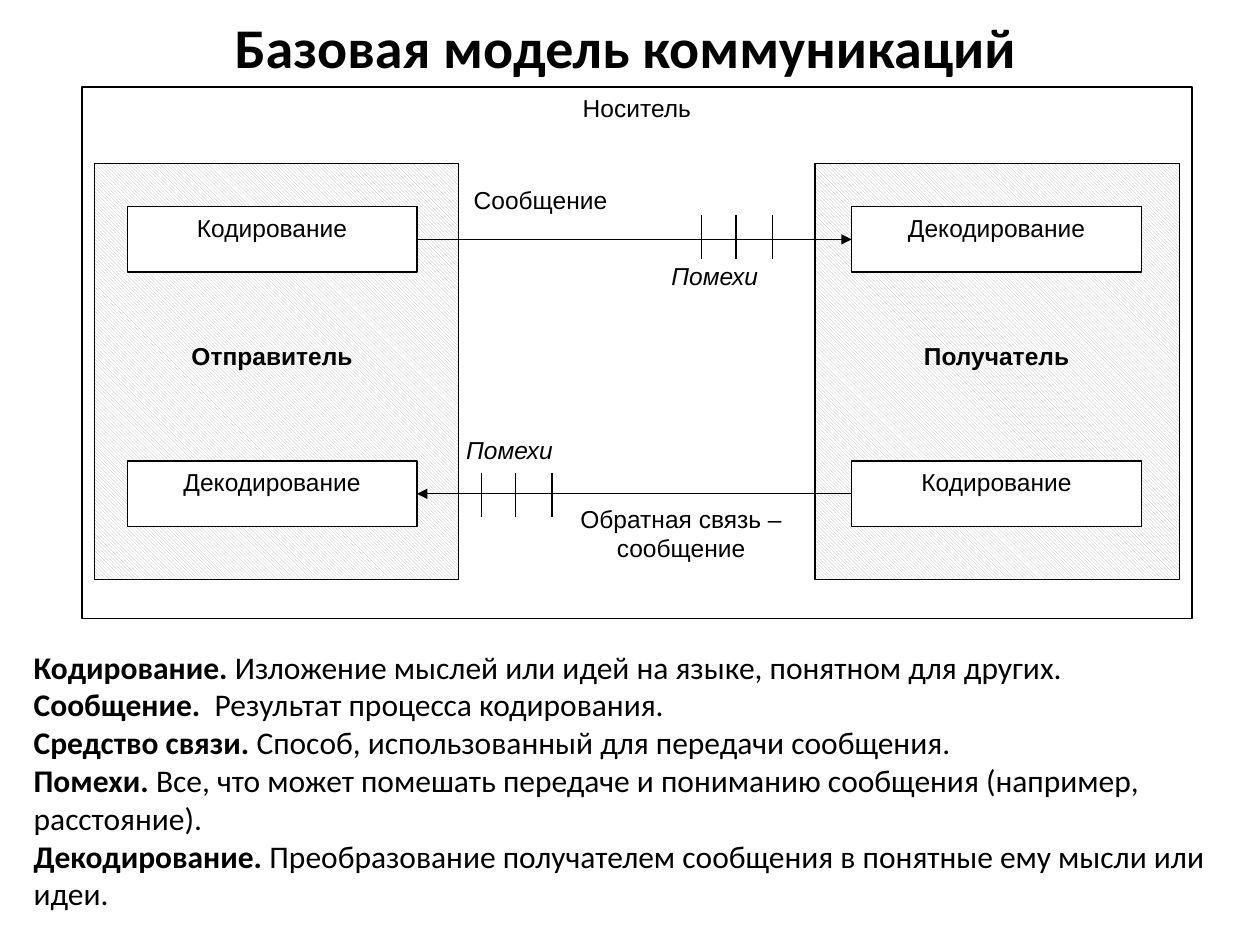
import lxml.etree
import pptx
import pptx.dml.color
import pptx.enum.dml
import pptx.enum.shapes
import pptx.enum.text
import pptx.oxml.ns
import pptx.util

Pt = pptx.util.Pt
qn = pptx.oxml.ns.qn
Align = pptx.enum.text.PP_ALIGN

BLACK = pptx.dml.color.RGBColor(0x00, 0x00, 0x00)
WHITE = pptx.dml.color.RGBColor(0xFF, 0xFF, 0xFF)
HATCH = pptx.dml.color.RGBColor(0xBF, 0xBF, 0xBF)

PANEL_LEFTS = (54, 465.8)
STEP_LEFTS = (72.7, 486.7)
STEP_WIDTH, STEP_HEIGHT = 165.6, 37.4
SEND_TOP, NAME_TOP, REPLY_TOP = 118.1, 191.5, 263.5
NOISE_OFFSETS = (0, 19.5, 40.4)
NOISE_HEIGHT = 25.2

DEFINITIONS = (
    ("Кодирование. ", "Изложение мыслей или идей на языке, понятном для других."),
    ("Сообщение.  ", "Результат процесса кодирования."),
    ("Средство связи. ", "Способ, использованный для передачи сообщения."),
    ("Помехи. ", "Все, что может помешать передаче и пониманию сообщения (например, расстояние)."),
    ("Декодирование. ", "Преобразование получателем сообщения в понятные ему мысли или идеи."),
)


class Diagram:
    """Holds the style and the slide being drawn."""

    text_font, label_font = "Calibri", "Arial"
    label_size, line_width = 14, 0.75

    def __init__(self, slide):
        self.slide = slide

    def add_run(self, paragraph, text, font, size, bold=False, italic=False):
        run = paragraph.add_run()
        run.text = text
        run.font.name, run.font.size = font, Pt(size)
        run.font.bold, run.font.italic = bold, italic
        run.font.color.rgb = BLACK

    def write_label(self, shape, text, align=Align.CENTER, tight=False, **emphasis):
        frame = shape.text_frame
        frame.word_wrap = True
        frame.vertical_anchor = pptx.enum.text.MSO_ANCHOR.TOP
        if tight:
            frame.margin_left = frame.margin_right = Pt(1.4)
            frame.margin_top = frame.margin_bottom = Pt(0.7)
        paragraph = frame.paragraphs[0]
        paragraph.alignment = align
        self.add_run(paragraph, text, self.label_font, self.label_size, **emphasis)

    def box(self, left, top, width, height, filled=True, outlined=True):
        shape = self.slide.shapes.add_shape(
            pptx.enum.shapes.MSO_SHAPE.RECTANGLE, Pt(left), Pt(top), Pt(width), Pt(height))
        shape.shadow.inherit = False
        if filled:
            shape.fill.solid()
            shape.fill.fore_color.rgb = WHITE
        else:
            shape.fill.background()
        if outlined:
            shape.line.color.rgb = BLACK
            shape.line.width = Pt(self.line_width)
        else:
            shape.line.fill.background()
        return shape

    def hatched_panel(self, *place):
        fill = self.box(*place).fill
        fill.patterned()
        fill.pattern = pptx.enum.dml.MSO_PATTERN.LIGHT_DOWNWARD_DIAGONAL
        fill.fore_color.rgb, fill.back_color.rgb = HATCH, WHITE

    def step(self, left, top, text):
        self.write_label(self.box(left, top, STEP_WIDTH, STEP_HEIGHT), text)

    def patch(self, left, top, width, height, text, **emphasis):
        """Label on a white, unlined background."""
        shape = self.box(left, top, width, height, outlined=False)
        self.write_label(shape, text, Align.LEFT, tight=True, **emphasis)

    def text_box(self, left, top, width, height):
        return self.slide.shapes.add_textbox(Pt(left), Pt(top), Pt(width), Pt(height))

    def growing_text(self, left, top, width, height, paragraphs, size, align):
        """Each paragraph is a sequence of (text, bold) runs."""
        frame = self.text_box(left, top, width, height).text_frame
        frame.word_wrap = True
        frame.auto_size = pptx.enum.text.MSO_AUTO_SIZE.SHAPE_TO_FIT_TEXT
        for index, runs in enumerate(paragraphs):
            paragraph = frame.add_paragraph() if index else frame.paragraphs[0]
            paragraph.alignment = align
            for text, bold in runs:
                self.add_run(paragraph, text, self.text_font, size, bold)

    def line(self, x1, y1, x2, y2, arrow=False):
        connector = self.slide.shapes.add_connector(
            pptx.enum.shapes.MSO_CONNECTOR.STRAIGHT, Pt(x1), Pt(y1), Pt(x2), Pt(y2))
        connector.line.color.rgb = BLACK
        connector.line.width = Pt(self.line_width)
        properties = connector._element.spPr
        if arrow:
            lxml.etree.SubElement(properties.find(qn("a:ln")), qn("a:tailEnd"), type="triangle")
        lxml.etree.SubElement(properties, qn("a:effectLst"))

    def noise(self, left, top, label_left, label_top):
        for offset in NOISE_OFFSETS:
            self.line(left + offset, top, left + offset, top + NOISE_HEIGHT)
        self.patch(label_left, label_top, 72, 22.3, "Помехи", italic=True)


def main():
    presentation = pptx.Presentation()
    presentation.slide_width, presentation.slide_height = Pt(720), Pt(540)
    diagram = Diagram(presentation.slides.add_slide(presentation.slide_layouts[6]))

    diagram.growing_text(20.2, 3.6, 674.6, 46, [[("Базовая модель коммуникаций", True)]],
                         32, Align.CENTER)
    medium = diagram.box(46.8, 49.7, 634.3, 303.8, filled=False)
    diagram.write_label(medium, "Носитель")

    parties = (("Отправитель", "Кодирование", "Декодирование"),
               ("Получатель", "Декодирование", "Кодирование"))
    for panel_left, step_left, (party, send_step, reply_step) in zip(
            PANEL_LEFTS, STEP_LEFTS, parties):
        diagram.hatched_panel(panel_left, 93.6, 208.1, 237.6)
        diagram.step(step_left, SEND_TOP, send_step)
        diagram.step(step_left, REPLY_TOP, reply_step)
        name = diagram.text_box(step_left, NAME_TOP, STEP_WIDTH, STEP_HEIGHT)
        diagram.write_label(name, party, bold=True)

    sender_edge, receiver_edge = STEP_LEFTS[0] + STEP_WIDTH, STEP_LEFTS[1]
    send_y, reply_y = (top + STEP_HEIGHT / 2 for top in (SEND_TOP, REPLY_TOP))
    diagram.line(sender_edge, send_y, receiver_edge, send_y, arrow=True)
    diagram.line(receiver_edge, reply_y, sender_edge, reply_y, arrow=True)

    diagram.patch(269.3, 105.1, 102.2, 27.4, "Сообщение")
    diagram.noise(401, 123.1, 382.3, 148.3)
    diagram.noise(275, 270, 265, 247.7)
    feedback = diagram.text_box(312.5, 287.3, 153.4, 48.2)
    diagram.write_label(feedback, "Обратная связь – сообщение", tight=True)

    definitions = [((term, True), (meaning, False)) for term, meaning in DEFINITIONS]
    diagram.growing_text(12.2, 366.5, 702.7, 159.8, definitions, 18, Align.LEFT)

    presentation.save("out.pptx")


if __name__ == "__main__":
    main()
